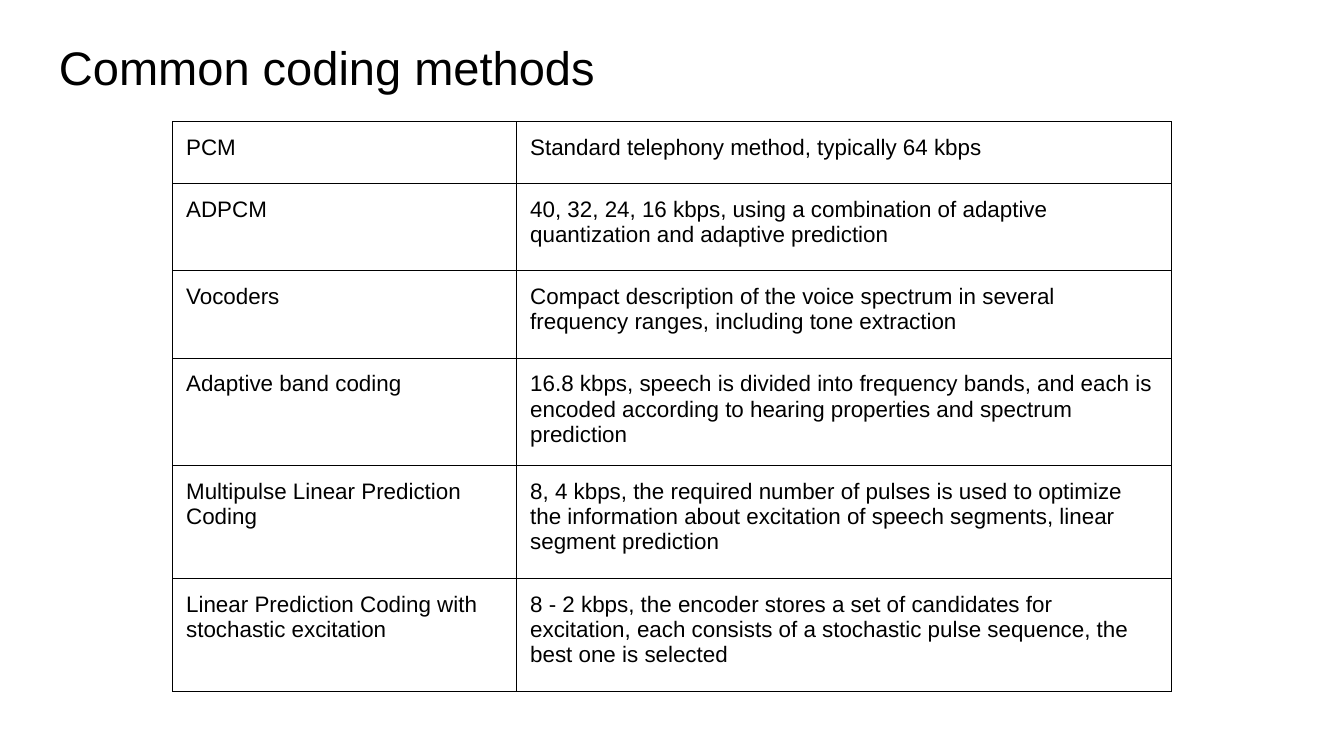
from lxml import etree
from pptx import Presentation
from pptx.dml.color import RGBColor
from pptx.enum.text import MSO_ANCHOR
from pptx.oxml.ns import qn
from pptx.util import Pt

PX = 4572  # EMU per px, 200 px to the inch
BLACK = RGBColor(0, 0, 0)
FONT = "Arial"
INSET = 20
BORDER_WIDTH = Pt(0.75)

SLIDE_SIZE = (2000, 1125)
TITLE_BOX = (68, 35, 1864, 126)
TABLE_BOX = (257, 181, 1486, 818)
COLUMN_WIDTHS = (512, 974)
ROW_HEIGHTS = (92, 130, 130, 130, 168, 168)

METHODS = [
    ("PCM", "Standard telephony method, typically 64 kbps"),
    ("ADPCM", "40, 32, 24, 16 kbps, using a combination of adaptive "
              "quantization and adaptive prediction"),
    ("Vocoders", "Compact description of the voice spectrum in several "
                 "frequency ranges, including tone extraction"),
    ("Adaptive band coding",
     "16.8 kbps, speech is divided into frequency bands, and each is "
     "encoded according to hearing properties and spectrum prediction"),
    ("Multipulse Linear Prediction Coding",
     "8, 4 kbps, the required number of pulses is used to optimize the "
     "information about excitation of speech segments, linear segment "
     "prediction"),
    ("Linear Prediction Coding with stochastic excitation",
     "8 - 2 kbps, the encoder stores a set of candidates for excitation, "
     "each consists of a stochastic pulse sequence, the best one is "
     "selected"),
]


def set_format(target, values):
    for name, value in values.items():
        setattr(target, name, value)


def set_margins(target):
    sides = ("left", "top", "right", "bottom")
    set_format(target, {f"margin_{side}": INSET * PX for side in sides})


def write_text(text_frame, text, size):
    run = text_frame.paragraphs[0].add_run()
    run.text = text
    set_format(run.font, {"name": FONT, "size": Pt(size)})
    run.font.color.rgb = BLACK


def add_borders(cell):
    properties = cell._tc.get_or_add_tcPr()
    for index, side in enumerate(("lnL", "lnR", "lnT", "lnB")):
        line = etree.Element(qn(f"a:{side}"), w=str(BORDER_WIDTH))
        fill = etree.SubElement(line, qn("a:solidFill"))
        etree.SubElement(fill, qn("a:srgbClr"), val=str(BLACK))
        properties.insert(index, line)  # borders come before the cell fill


def add_title(slide, box, text):
    shape = slide.shapes.add_textbox(*(length * PX for length in box))
    text_frame = shape.text_frame
    set_format(text_frame, {"word_wrap": True,
                            "vertical_anchor": MSO_ANCHOR.BOTTOM})
    set_margins(text_frame)
    write_text(text_frame, text, 25.2)


def add_methods_table(slide, box, methods):
    frame = slide.shapes.add_table(len(methods), len(COLUMN_WIDTHS),
                                   *(length * PX for length in box))
    table = frame.table
    set_format(table, {"first_row": False, "horz_banding": False})
    for column, width in zip(table.columns, COLUMN_WIDTHS):
        column.width = width * PX
    for row, height, texts in zip(table.rows, ROW_HEIGHTS, methods):
        row.height = height * PX
        for cell, text in zip(row.cells, texts):
            set_margins(cell)
            cell.vertical_anchor = MSO_ANCHOR.TOP
            cell.fill.background()
            add_borders(cell)
            write_text(cell.text_frame, text, 12)


def main():
    presentation = Presentation()
    width, height = SLIDE_SIZE
    set_format(presentation, {"slide_width": width * PX,
                              "slide_height": height * PX})
    slide = presentation.slides.add_slide(presentation.slide_layouts[6])

    # Heading
    add_title(slide, TITLE_BOX, "Common coding methods")
    # Coding methods and their descriptions
    add_methods_table(slide, TABLE_BOX, METHODS)

    presentation.save("out.pptx")


if __name__ == "__main__":
    main()
